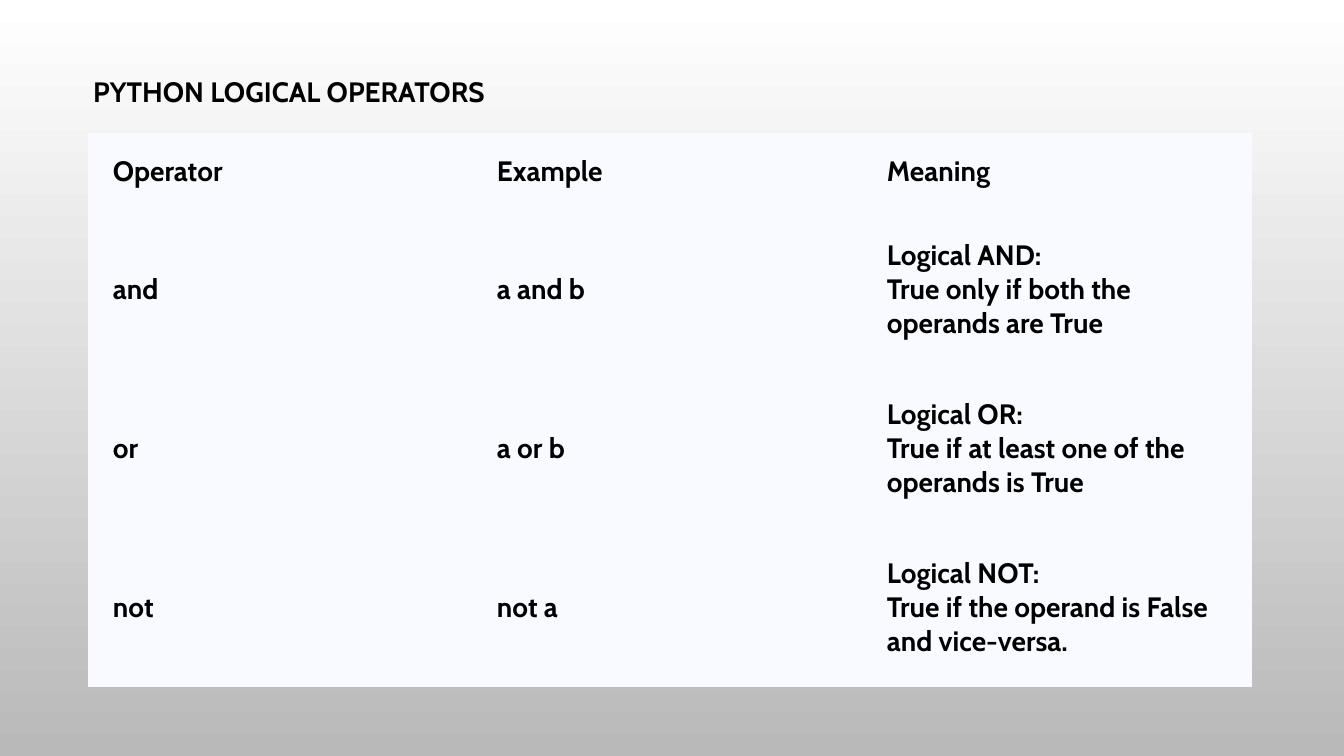
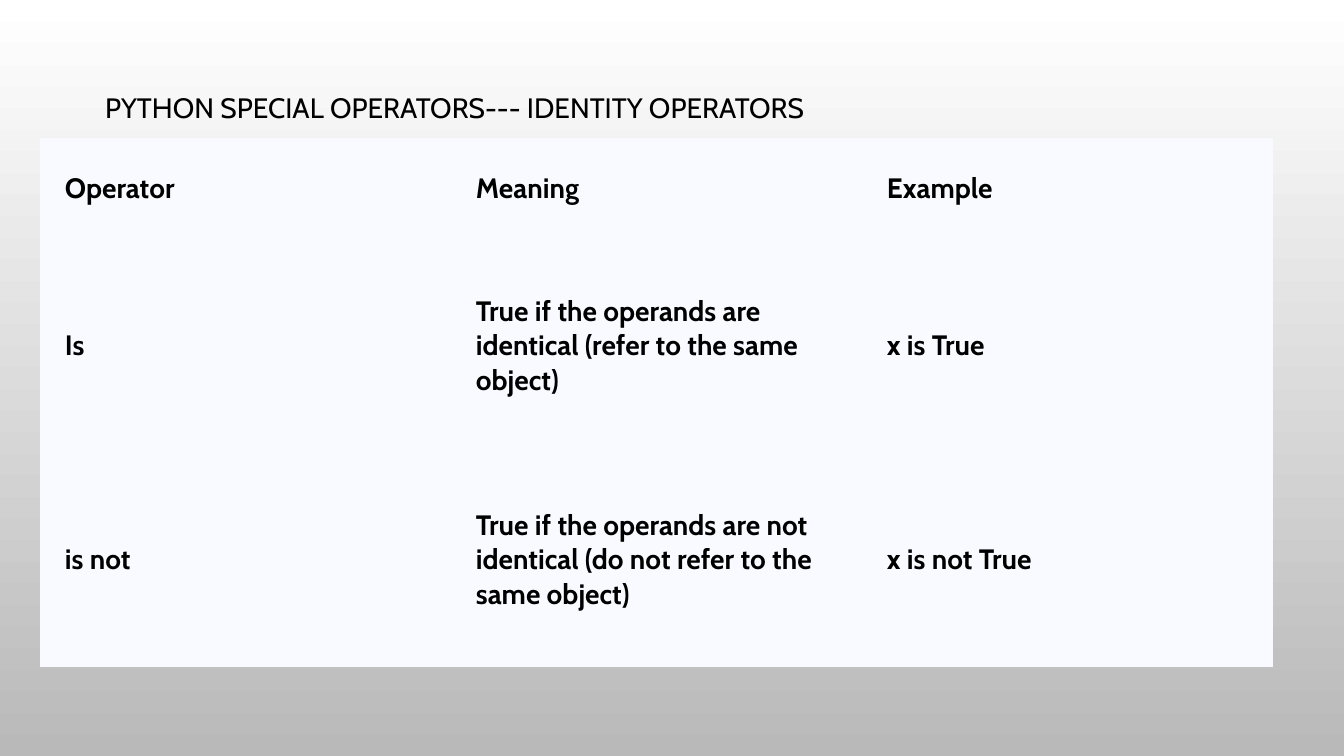
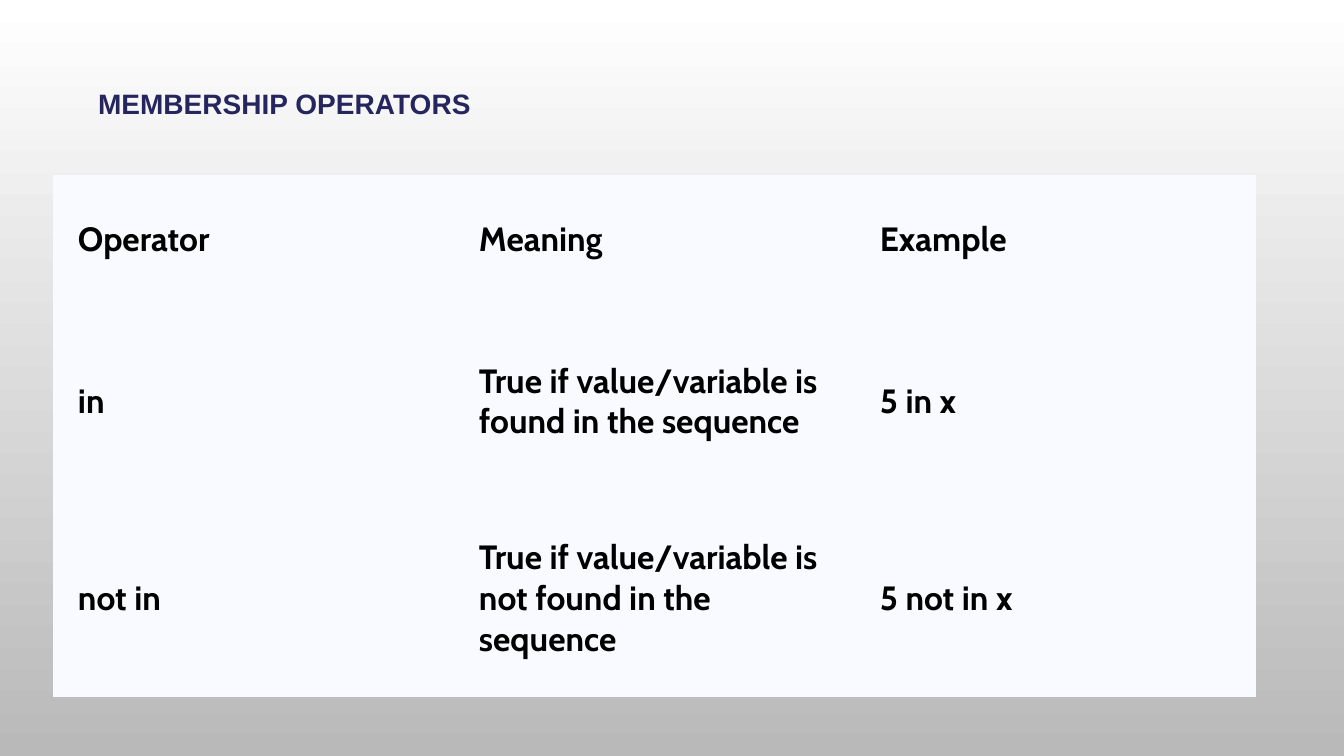
from pptx import Presentation
from pptx import util as u
from pptx.dml import color
from pptx.enum import text

EMU_PER_PX = 914400 / 100.8
NO_GRID_STYLE = "{2D5ABB26-0587-4C30-8999-92F81FD0307C}"


def px(length):
    return u.Emu(round(length * EMU_PER_PX))


def rgb(value):
    return color.RGBColor.from_string(value)


class Deck:
    """Hold the shared style and the current slide, and draw titles and tables."""

    font = "Cabin"
    ink = "000000"
    panel = "F8FAFF"
    gradient = ("FFFFFF", "B9B9B9")
    cell_side = 25

    def __init__(self):
        self.presentation = Presentation()
        self.presentation.slide_width = px(1344)
        self.presentation.slide_height = px(756)
        self.slide = None
        fill = self.presentation.slide_master.background.fill
        fill.gradient()
        fill.gradient_angle = 270
        for stop, value in zip(fill.gradient_stops, self.gradient):
            stop.color.rgb = rgb(value)

    def add_slide(self):
        layout = self.presentation.slide_layouts.get_by_name("Title Only")
        self.slide = self.presentation.slides.add_slide(layout)

    def add_text(self, paragraph, content, size, bold=True, font=font, ink=ink):
        paragraph.alignment = text.PP_ALIGN.LEFT
        for index, line in enumerate(content.split("\n")):
            if index:
                paragraph.add_line_break()
            run = paragraph.add_run()
            run.text = line
            run.font.size = u.Pt(size)
            run.font.name = font
            run.font.bold = bold
            run.font.color.rgb = rgb(ink)

    def title(self, content, left, top, spacing=1.2, **style):
        shape = self.slide.shapes.title
        shape.left, shape.top = px(left), px(top)
        shape.width, shape.height = px(1160), px(52)
        frame = shape.text_frame
        frame.auto_size = text.MSO_AUTO_SIZE.NONE
        frame.vertical_anchor = text.MSO_ANCHOR.TOP
        frame.word_wrap = True
        paragraph = frame.paragraphs[0]
        paragraph.line_spacing = spacing
        self.add_text(paragraph, content, 20, **style)

    def table(self, rows, left, top, widths, header, body, size=20, padding=12):
        heights = [header] + [body] * (len(rows) - 1)
        table = self.slide.shapes.add_table(
            len(rows), len(widths), px(left), px(top),
            px(sum(widths)), px(sum(heights))).table
        table.first_row = table.horz_banding = False
        table._tbl.tblPr[0].text = NO_GRID_STYLE
        for column, width in zip(table.columns, widths):
            column.width = px(width)
        for row, height, contents in zip(table.rows, heights, rows):
            row.height = px(height)
            for cell, content in zip(row.cells, contents):
                cell.fill.solid()
                cell.fill.fore_color.rgb = rgb(self.panel)
                cell.vertical_anchor = text.MSO_ANCHOR.MIDDLE
                cell.margin_left = cell.margin_right = px(self.cell_side)
                cell.margin_top = cell.margin_bottom = px(padding)
                self.add_text(cell.text_frame.paragraphs[0], content, size)


def main():
    deck = Deck()

    deck.add_slide()
    deck.title("PYTHON LOGICAL OPERATORS", 83, 69, spacing=1.0)
    deck.table([
        ("Operator", "Example", "Meaning"),
        ("and", "a and b", "Logical AND:\nTrue only if both the operands are True"),
        ("or", "a or b", "Logical OR:\nTrue if at least one of the operands is True"),
        ("not", "not a", "Logical NOT:\nTrue if the operand is False and vice-versa."),
    ], 88, 133, [384, 390, 390], header=77, body=159)

    deck.add_slide()
    deck.title("PYTHON SPECIAL OPERATORS--- IDENTITY OPERATORS", 95, 79, bold=False)
    deck.table([
        ("Operator", "Meaning", "Example"),
        ("Is", "True if the operands are identical (refer to the same object)",
         "x is True"),
        ("is not", "True if the operands are not identical "
         "(do not refer to the same object)", "x is not True"),
    ], 40, 138, [411] * 3, header=101, body=214, padding=10)

    deck.add_slide()
    deck.title("MEMBERSHIP OPERATORS", 88, 75, font="Arial", ink="25265E")
    deck.table([
        ("Operator", "Meaning", "Example"),
        ("in", "True if value/variable is found in the sequence", "5 in x"),
        ("not in", "True if value/variable is not found in the sequence",
         "5 not in x"),
    ], 53, 175, [401] * 3, header=128, body=197, size=24)

    deck.presentation.save("out.pptx")


if __name__ == "__main__":
    main()
